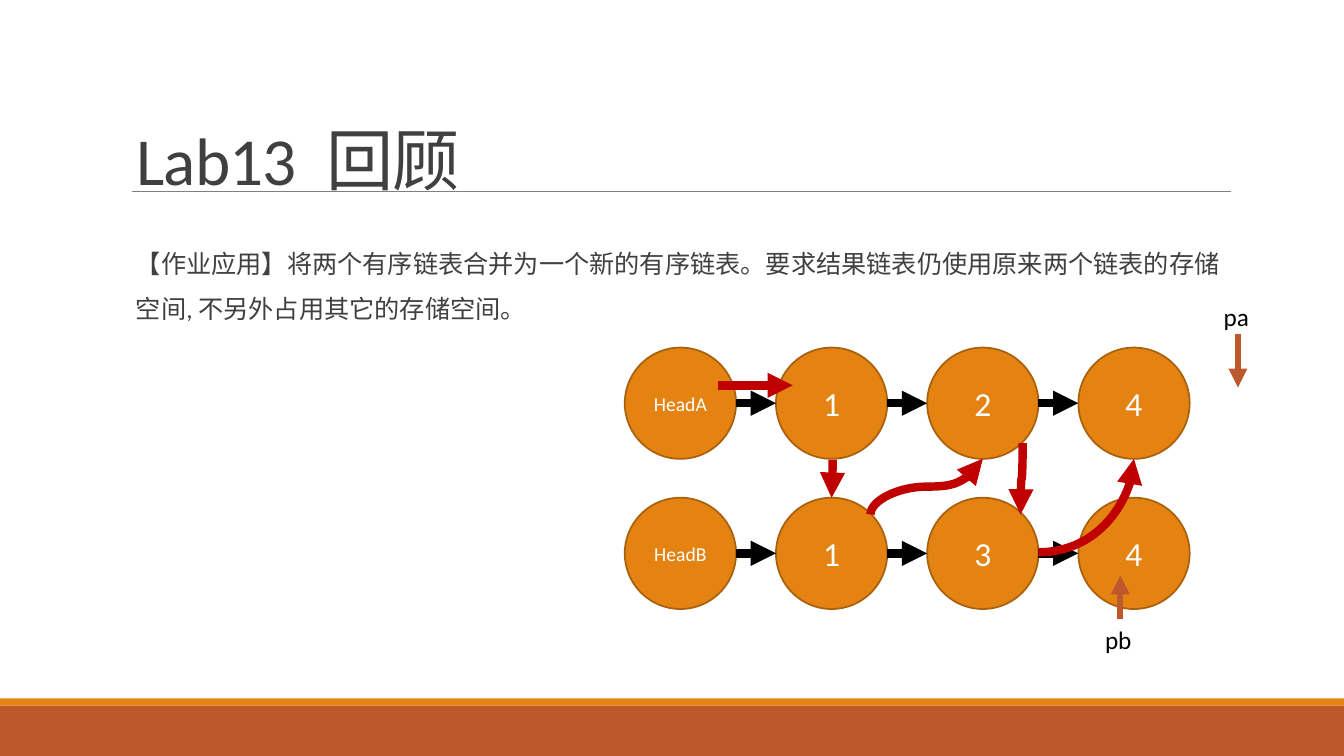
from pptx import Presentation
from pptx.dml.color import RGBColor
from pptx.enum.shapes import MSO_CONNECTOR, MSO_SHAPE
from pptx.enum.text import MSO_ANCHOR, PP_ALIGN
from pptx.oxml.ns import qn
from pptx.util import Emu, Pt
from lxml.etree import SubElement

FONT = "Calibri"
ORANGE = RGBColor(0xE4, 0x83, 0x12)
ORANGE_EDGE = RGBColor(0xA9, 0x61, 0x0D)
RUST = RGBColor(0xBD, 0x58, 0x2C)
RED = RGBColor(0xC0, 0x00, 0x00)
GRAPHITE = RGBColor(0x40, 0x40, 0x40)
GREY = RGBColor(0x80, 0x80, 0x80)
BLACK = RGBColor(0x00, 0x00, 0x00)
WHITE = RGBColor(0xFF, 0xFF, 0xFF)

NODE = 106
NODE_LEFT = 595
NODE_PITCH = 144
LISTS = [(331, ["HeadA", "1", "2", "4"]), (474, ["HeadB", "1", "3", "4"])]
TASK = ("【作业应用】将两个有序链表合并为一个新的有序链表。要求结果链表仍使用"
        "原来两个链表的存储空间, 不另外占用其它的存储空间。")


def px(count):
    """Turn pixels, 96 to the inch, into EMU."""
    return Emu(int(count * 9525))


def add_span(para, text, size, color, spacing=None):
    span = para.add_run()
    span.text = text
    span.font.name = FONT
    span.font.size = Pt(size)
    span.font.color.rgb = color
    if spacing is not None:
        span.font._element.set("spc", str(int(spacing * 100)))


def add_title(page):
    title = page.shapes.title
    title.left, title.top, title.width, title.height = map(px, (120, 42, 1056, 153))
    title.text_frame.vertical_anchor = MSO_ANCHOR.BOTTOM
    para = title.text_frame.paragraphs[0]
    para.alignment = PP_ALIGN.LEFT
    para.line_spacing = 0.85
    for text, spacing in (("Lab13", -0.5), (" ", 10), ("回顾", -0.5)):
        add_span(para, text, 48, GRAPHITE, spacing)


def add_text(shapes, text, color, left, top, width, height):
    box = shapes.add_textbox(px(left), px(top), px(width), px(height))
    box.text_frame.word_wrap = True
    para = box.text_frame.paragraphs[0]
    add_span(para, text, 18, color)
    return para


def add_block(shapes, kind, fill, left, top, width, height):
    block = shapes.add_shape(kind, px(left), px(top), px(width), px(height))
    block.shadow.inherit = False
    block.fill.solid()
    block.fill.fore_color.rgb = fill
    block.line.fill.background()
    return block


def add_node(shapes, label, left, top):
    node = add_block(shapes, MSO_SHAPE.OVAL, ORANGE, left, top, NODE, NODE)
    node.line.color.rgb = ORANGE_EDGE
    node.line.width = Pt(1.25)
    node.text_frame.vertical_anchor = MSO_ANCHOR.MIDDLE
    para = node.text_frame.paragraphs[0]
    para.alignment = PP_ALIGN.CENTER
    add_span(para, label, 14 if label.startswith("Head") else 24, WHITE)


def add_line(shapes, start, end, color, width, kind=MSO_CONNECTOR.STRAIGHT):
    line = shapes.add_connector(kind, *map(px, start + end))
    line.line.color.rgb = color
    line.line.width = Pt(width)
    SubElement(line._element.spPr, qn("a:effectLst"))
    return line


def add_arrow(shapes, start, end, color, width, kind=MSO_CONNECTOR.STRAIGHT):
    arrow = add_line(shapes, start, end, color, width, kind)
    SubElement(arrow.line._get_or_add_ln(), qn("a:tailEnd"), type="triangle")
    return arrow


def add_s_curve(shapes, start, end):
    """Add a red curved arrow that leaves and arrives vertically."""
    arrow = add_arrow(shapes, start, end, RED, 6, MSO_CONNECTOR.CURVE)
    run, rise = end[0] - start[0], end[1] - start[1]
    width, height = abs(rise), abs(run)
    arrow.left = px((start[0] + end[0] - width) / 2)
    arrow.top = px((start[1] + end[1] - height) / 2)
    arrow.width, arrow.height = px(width), px(height)
    frame = arrow._element.spPr.find(qn("a:xfrm"))
    frame.set("rot", "5400000")
    frame.set("flipH", str(int(rise < 0)))
    frame.set("flipV", str(int(run > 0)))


def add_quarter_curve(shapes, start, end):
    """Add a red curved arrow that leaves sideways and arrives vertically."""
    arrow = add_arrow(shapes, start, end, RED, 6, MSO_CONNECTOR.CURVE)
    arrow._element.spPr.find(qn("a:prstGeom")).set("prst", "curvedConnector2")


def add_list(shapes, top, labels):
    middle = top + NODE // 2
    for index, label in enumerate(labels):
        left = NODE_LEFT + index * NODE_PITCH
        add_node(shapes, label, left, top)
        if index:
            add_arrow(shapes, (left - NODE_PITCH + NODE, middle), (left, middle), BLACK, 6)


def add_diagram(page):
    shapes = page.shapes.add_group_shape().shapes
    add_block(shapes, MSO_SHAPE.RECTANGLE, WHITE, 544, 282, 616, 365)
    for top, labels in LISTS:
        add_list(shapes, top, labels)
    add_text(shapes, "pb", BLACK, 1043, 590, 48, 38)
    add_arrow(shapes, (1067, 590), (1067, 548), RUST, 4.5)
    add_text(shapes, "pa", BLACK, 1156, 282, 48, 38)
    add_arrow(shapes, (1179, 318), (1179, 369), RUST, 4.5)
    add_arrow(shapes, (684, 367), (755, 367), RED, 6)
    add_s_curve(shapes, (793, 438), (792, 474))
    add_s_curve(shapes, (829, 490), (936, 437))
    add_s_curve(shapes, (974, 422), (972, 490))
    add_quarter_curve(shapes, (989, 526), (1080, 437))


def main():
    deck = Presentation()
    deck.slide_width, deck.slide_height = px(1280), px(720)
    page = deck.slides.add_slide(deck.slide_layouts[5])
    add_block(page.shapes, MSO_SHAPE.RECTANGLE, RUST, 0, 672, 1280, 48)
    add_block(page.shapes, MSO_SHAPE.RECTANGLE, ORANGE, 0, 665, 1280, 7)
    add_line(page.shapes, (126, 182), (1172, 182), GREY, 0.5)
    add_title(page)
    task = add_text(page.shapes, TASK, GRAPHITE, 120, 217, 1063, 92)
    task.line_spacing = 1.5
    task.space_before, task.space_after = Pt(12), Pt(2)
    add_diagram(page)
    deck.save("out.pptx")


if __name__ == "__main__":
    main()
